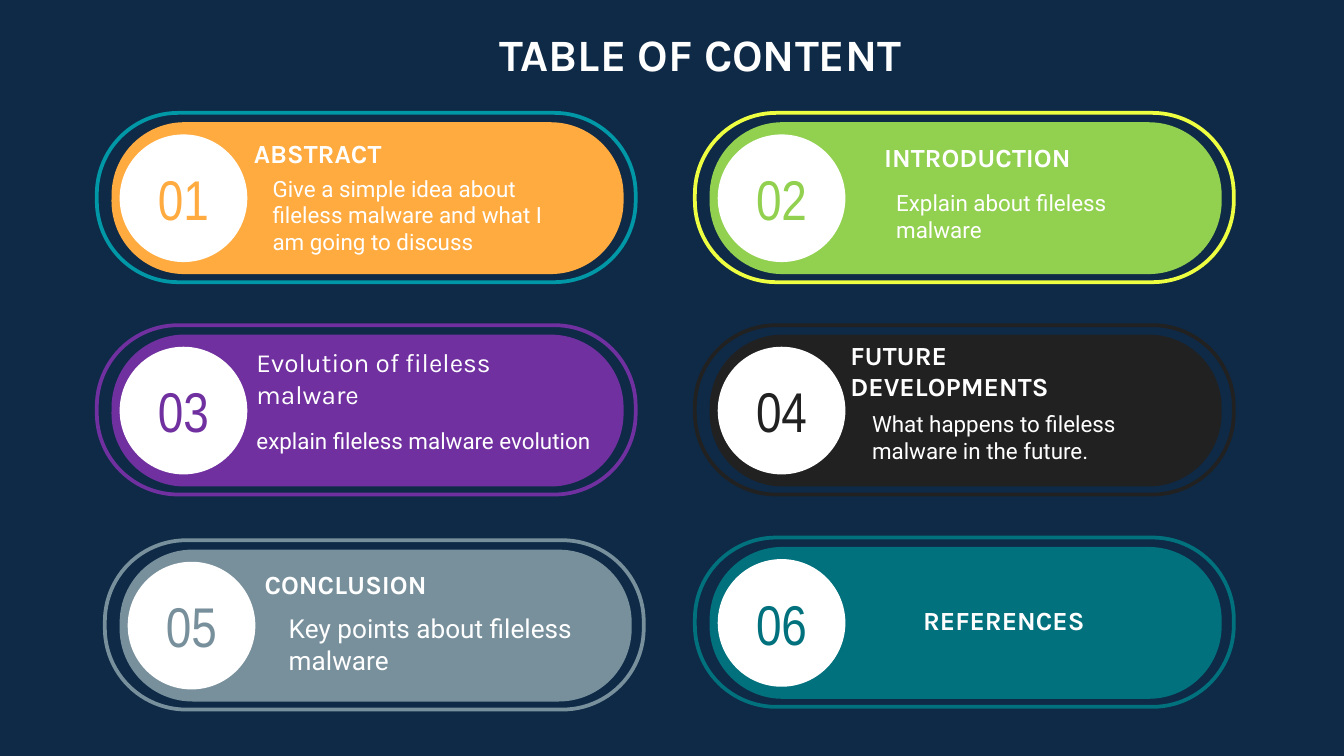
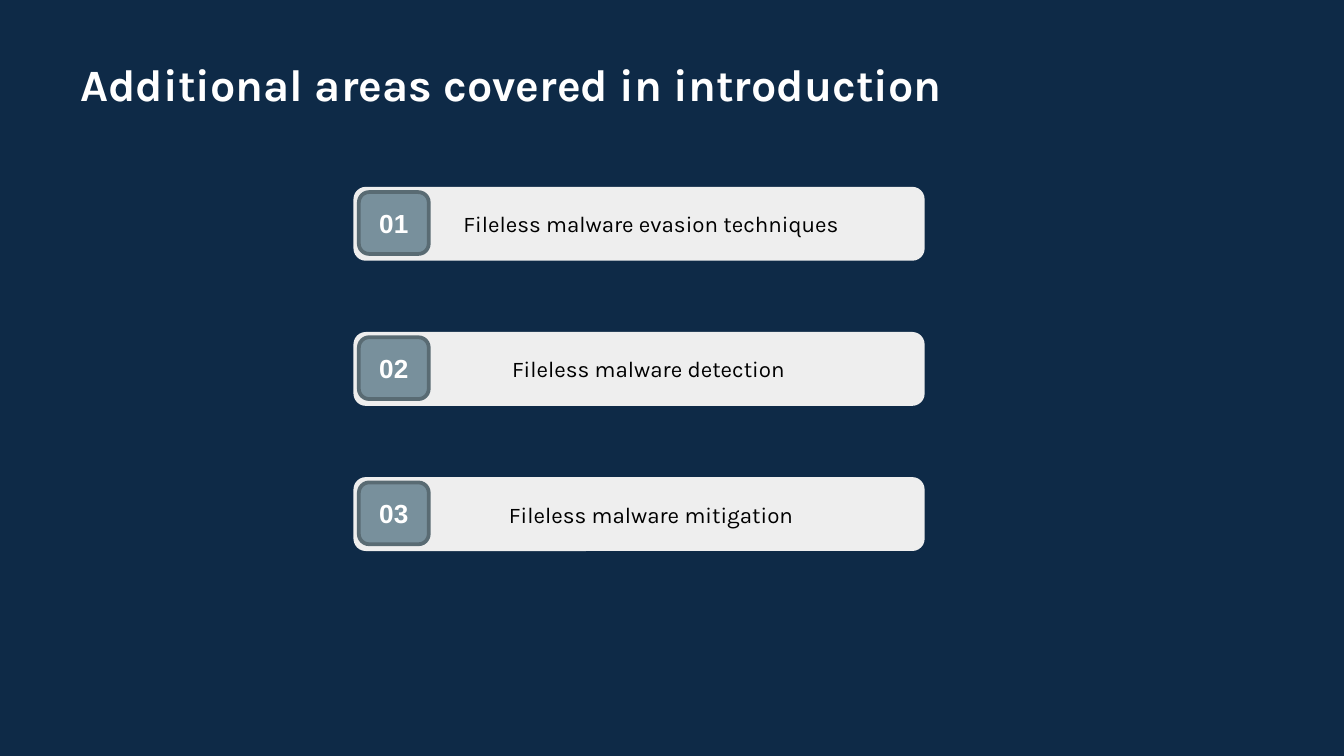
from dataclasses import dataclass

from pptx import Presentation
from pptx.dml.color import RGBColor
from pptx.enum.shapes import MSO_SHAPE
from pptx.enum.text import MSO_ANCHOR, PP_ALIGN
from pptx.util import Inches, Pt


@dataclass(frozen=True)
class Theme:
    navy: str = "0E2A47"
    white: str = "FFFFFF"
    black: str = "000000"
    light: str = "EEEEEE"
    slate: str = "78909C"
    slate_dark: str = "596B73"
    orange: str = "FFAB40"
    cyan: str = "0097A7"
    green: str = "92D050"
    yellow: str = "EEFF41"
    purple: str = "7030A0"
    charcoal: str = "212121"
    teal: str = "00717D"
    heading: str = "Karla"
    body: str = "Roboto"
    digits: str = "Arial Narrow"
    badge: str = "Arial"
    title_size: int = 24
    number_size: int = 30
    head_size: int = 14
    body_size: int = 12


T = Theme()


def rgb(value):
    return RGBColor.from_string(value)


def write(shape, text, font, size, color, bold=False, align=PP_ALIGN.LEFT,
          anchor=MSO_ANCHOR.TOP, inset=(0.1, 0.05)):
    tf = shape.text_frame
    tf.word_wrap = True
    tf.vertical_anchor = anchor
    tf.margin_left = tf.margin_right = Inches(inset[0])
    tf.margin_top = tf.margin_bottom = Inches(inset[1])
    p = tf.paragraphs[0]
    p.text = text
    p.alignment = align
    p.font.name = font
    p.font.size = Pt(size)
    p.font.bold = bold
    p.font.color.rgb = rgb(color)


def add_text(s, box, text, font, size, color=T.white, **style):
    tb = s.shapes.add_textbox(*map(Inches, box))
    write(tb, text, font, size, color, **style)


def add_shape(s, kind, box, fill=None, line=None, adj=None):
    sp = s.shapes.add_shape(kind, *map(Inches, box))
    sp.shadow.inherit = False
    if fill:
        sp.fill.solid()
        sp.fill.fore_color.rgb = rgb(fill)
    else:
        sp.fill.background()
    if line:
        sp.line.color.rgb = rgb(line)
        sp.line.width = Pt(2)
    else:
        sp.line.fill.background()
    if adj is not None:
        sp.adjustments[0] = adj
    return sp


def add_slide(prs, title, left, top, align=PP_ALIGN.LEFT):
    s = prs.slides.add_slide(prs.slide_layouts[6])
    s.background.fill.solid()
    s.background.fill.fore_color.rgb = rgb(T.navy)
    add_text(s, (left, top, 9, 0.63), title, T.heading, T.title_size,
             bold=True, align=align, inset=(0.1, 0.1))
    return s


def add_card(s, left, top, number, fill, ring):
    """Pill with a numbered disc inside a thin ring."""
    add_shape(s, MSO_SHAPE.ROUNDED_RECTANGLE, (left + 0.12, top + 0.08, 3.81, 1.13),
              fill=fill, adj=0.48)
    disc = add_shape(s, MSO_SHAPE.OVAL, (left + 0.18, top + 0.17, 0.95, 0.95), fill=T.white)
    write(disc, number, T.digits, T.number_size, fill, align=PP_ALIGN.CENTER,
          anchor=MSO_ANCHOR.MIDDLE, inset=(0, 0))
    add_shape(s, MSO_SHAPE.ROUNDED_RECTANGLE, (left + 0.01, top + 0.01, 4.01, 1.26),
              line=ring, adj=0.48)


def add_bar(s, left, top, number, text):
    """Light bar with a square number badge at its left end."""
    add_shape(s, MSO_SHAPE.ROUNDED_RECTANGLE, (left, top, 4.25, 0.55),
              fill=T.light, adj=0.167)
    add_text(s, (left + 0.49, top, 3.45, 0.55), text, T.heading, T.body_size, T.black,
             align=PP_ALIGN.CENTER, anchor=MSO_ANCHOR.MIDDLE, inset=(0.2, 0.1))
    badge = add_shape(s, MSO_SHAPE.ROUNDED_RECTANGLE, (left + 0.04, top + 0.04, 0.52, 0.46),
                      fill=T.slate, line=T.slate_dark)
    write(badge, number, T.badge, T.head_size, T.white, bold=True,
          align=PP_ALIGN.CENTER, anchor=MSO_ANCHOR.MIDDLE)


def contents_slide(prs):
    s = add_slide(prs, "TABLE OF CONTENT", 0.71, 0.1, PP_ALIGN.CENTER)

    # Cards, two to a row: fill, ring, shift from the grid
    cards = [
        (T.orange, T.cyan, (0, 0)),
        (T.green, T.yellow, (0, 0)),
        (T.purple, T.purple, (0, 0)),
        (T.charcoal, T.charcoal, (0, 0)),
        (T.slate, T.slate, (0.06, 0.02)),
        (T.teal, T.teal, (0, 0)),
    ]
    for i, (fill, ring, (dx, dy)) in enumerate(cards):
        row, col = divmod(i, 2)
        add_card(s, 0.71 + 4.45 * col + dx, 0.83 + 1.58 * row + dy,
                 f"{i + 1:02}", fill, ring)

    # Headings centred in their boxes
    for box, text in [
        ((6.48, 0.97, 1.83, 0.39), "INTRODUCTION"),
        ((6.23, 2.56, 2.33, 0.39), "FUTURE DEVELOPMENTS"),
        ((1.87, 4.15, 1.83, 0.39), "CONCLUSION"),
    ]:
        add_text(s, box, text, T.heading, T.head_size, bold=True,
                 anchor=MSO_ANCHOR.MIDDLE, inset=(0.1, 0.1))

    # Headings set from the top
    for box, text, bold in [
        ((1.79, 0.97, 1.47, 0.34), "ABSTRACT", True),
        ((1.81, 2.53, 2.38, 0.57), "Evolution of fileless malware", False),
        ((6.77, 4.45, 1.73, 0.34), "REFERENCES", True),
    ]:
        add_text(s, box, text, T.heading, T.head_size, bold=bold)

    # Descriptions
    for box, text, size, pad in [
        ((1.93, 1.2, 2.23, 0.75),
         "Give a simple idea about fileless malware and what I am going to discuss",
         T.body_size, 0.1),
        ((6.57, 1.31, 2.26, 0.75), "Explain about fileless malware", T.body_size, 0.1),
        ((1.81, 3.13, 2.73, 0.3), "explain fileless malware evolution", T.body_size, 0.05),
        ((6.39, 2.95, 2.23, 0.75), "What happens to fileless malware in the future.",
         T.body_size, 0.1),
        ((2.05, 4.51, 2.95, 0.57), "Key points about fileless malware", T.head_size, 0.05),
    ]:
        add_text(s, box, text, T.body, size, inset=(0.1, pad))


def areas_slide(prs):
    s = add_slide(prs, "Additional areas covered in introduction", 0.5, 0.32)
    areas = ["evasion techniques", "detection ", "mitigation"]
    for i, area in enumerate(areas):
        add_bar(s, 2.63, 1.39 + 1.08 * i, f"{i + 1:02}", f"Fileless malware {area}")


def main():
    prs = Presentation()
    prs.slide_width = Inches(10)
    prs.slide_height = prs.slide_width * 9 // 16
    contents_slide(prs)
    areas_slide(prs)
    prs.save("out.pptx")


if __name__ == "__main__":
    main()
